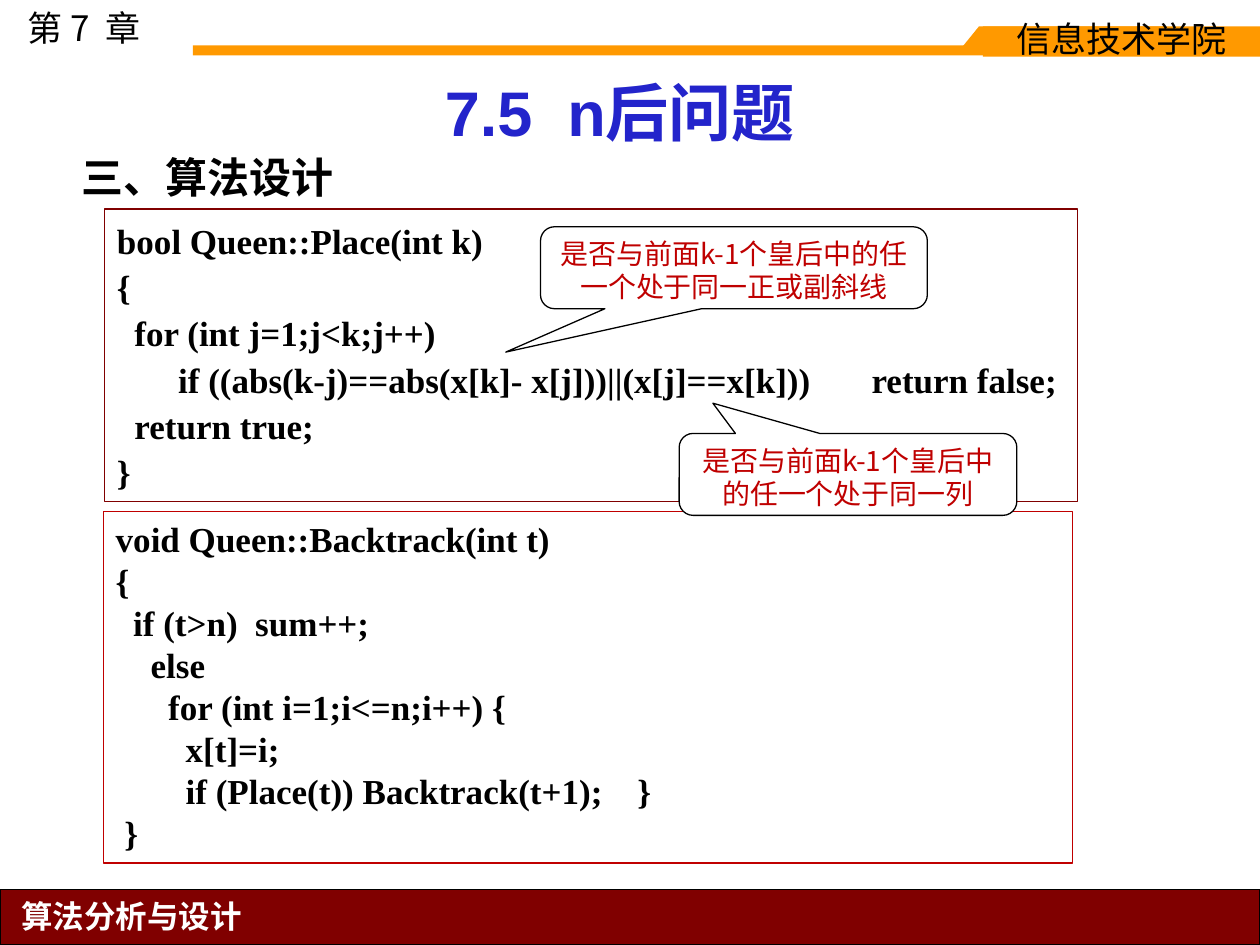
"""Build the n-queens algorithm design slide."""
from dataclasses import dataclass, field
from typing import Optional

from lxml import etree
from pptx import Presentation
from pptx.dml.color import RGBColor
from pptx.enum.shapes import MSO_SHAPE
from pptx.enum.text import MSO_ANCHOR, PP_ALIGN
from pptx.oxml.ns import qn
from pptx.util import Inches, Pt

RECTANGLE = MSO_SHAPE.RECTANGLE
CALLOUT = MSO_SHAPE.ROUNDED_RECTANGULAR_CALLOUT
LEFT, CENTER = PP_ALIGN.LEFT, PP_ALIGN.CENTER
TOP, MIDDLE = MSO_ANCHOR.TOP, MSO_ANCHOR.MIDDLE

COLORS = {
    "black": "000000", "white": "FFFFFF", "orange": "FF9900",
    "maroon": "800000", "crimson": "C00000", "red": "BF0000", "blue": "2324CB",
}
CJK = "Noto Sans CJK SC"
CODE_FONT = {"name": "Times New Roman", "size": Pt(20), "bold": True}
NOTE_FONT = {"name": CJK, "size": Pt(16)}

PLACE_CODE = """bool Queen::Place(int k)
{
  for (int j=1;j<k;j++)
       if ((abs(k-j)==abs(x[k]- x[j]))||(x[j]==x[k]))       return false;
  return true;
}"""
BACKTRACK_CODE = """void Queen::Backtrack(int t)
{
  if (t>n)  sum++;
    else
      for (int i=1;i<=n;i++) {
        x[t]=i;
        if (Place(t)) Backtrack(t+1);    }
 }"""


@dataclass
class Label:
    """Describe a block of text and its format."""
    text: str
    font: dict
    color: str = "black"
    align: PP_ALIGN = LEFT
    anchor: MSO_ANCHOR = MIDDLE
    spacing: Optional[float] = None
    wrap: bool = True


@dataclass
class Panel:
    """Describe a preset shape with optional text."""
    box: tuple
    fill: Optional[str] = None
    line: Optional[str] = None
    label: Optional[Label] = None
    kind: MSO_SHAPE = RECTANGLE
    adjustments: list = field(default_factory=list)


def rgb(color: str) -> RGBColor:
    """Return a named colour."""
    return RGBColor.from_string(COLORS[color])


def write(frame, label: Label) -> None:
    """Fill a text frame with a label."""
    for name, value in {"word_wrap": label.wrap, "vertical_anchor": label.anchor}.items():
        setattr(frame, name, value)
    for index, line in enumerate(label.text.split("\n")):
        paragraph = frame.paragraphs[0] if index == 0 else frame.add_paragraph()
        paragraph.alignment = label.align
        paragraph.line_spacing = label.spacing
        run = paragraph.add_run()
        run.text = line
        for name, value in label.font.items():
            setattr(run.font, name, value)
        run.font.color.rgb = rgb(label.color)
        east_asian = etree.SubElement(run._r.get_or_add_rPr(), qn("a:ea"))
        east_asian.set("typeface", CJK)


def paint(shape, fill: Optional[str], line: Optional[str]) -> None:
    """Set the fill and outline of a shape."""
    shape.shadow.inherit = False
    if fill:
        shape.fill.solid()
        shape.fill.fore_color.rgb = rgb(fill)
    else:
        shape.fill.background()
    if line:
        shape.line.color.rgb = rgb(line)
        shape.line.width = Pt(0.75)
    else:
        shape.line.fill.background()


def draw_panel(slide, panel: Panel) -> None:
    """Draw a panel."""
    shape = slide.shapes.add_shape(panel.kind, *map(Inches, panel.box))
    for index, value in enumerate(panel.adjustments):
        shape.adjustments[index] = value
    paint(shape, panel.fill, panel.line)
    if panel.label:
        write(shape.text_frame, panel.label)


def draw_text(slide, box: tuple, label: Label) -> None:
    """Draw a text box."""
    write(slide.shapes.add_textbox(*map(Inches, box)).text_frame, label)


def draw_header_slope(slide) -> None:
    """Draw the slanted end of the header tab."""
    corners = [(7.64, 0.37), (7.77, 0.37), (7.77, 0.21)]
    start, *others = [(Inches(x), Inches(y)) for x, y in corners]
    builder = slide.shapes.build_freeform(*start)
    builder.add_line_segments(others, close=True)
    paint(builder.convert_to_shape(), "orange", None)


def code_panel(box: tuple, line: str, code: str, spacing: float) -> Panel:
    """Return a framed code listing."""
    return Panel(box, line=line, label=Label(code, CODE_FONT, anchor=TOP, spacing=spacing))


def note_panel(box: tuple, text: str, tip: tuple) -> Panel:
    """Return a callout whose tip points at the code."""
    label = Label(text, NOTE_FONT, "red", CENTER, TOP, Pt(19))
    return Panel(box, "white", "black", label, CALLOUT, [*tip, 0.17])


PANELS = [
    Panel((1.53, 0.36, 7.72, 0.08), "orange"),
    Panel((7.77, 0.21, 1.48, 0.16), "orange"),
    Panel((7.8, 0.21, 2.2, 0.24), "orange", label=Label(
        "信息技术学院", {"name": "DejaVu Sans", "size": Pt(20)}, align=CENTER, spacing=0.9)),
    Panel((0, 7.06, 10, 0.44), "maroon", "black"),
    code_panel((0.83, 1.66, 7.72, 2.32), "maroon", PLACE_CODE, 1.1),
    code_panel((0.82, 4.06, 7.69, 2.79), "crimson", BACKTRACK_CODE, 1.0),
    note_panel((5.39, 3.44, 2.68, 0.65), "是否与前面k-1个皇后中的任一个处于同一列", (-0.4, -0.87)),
    note_panel((4.29, 1.8, 3.07, 0.65), "是否与前面k-1个皇后中的任一个处于同一正或副斜线", (-0.59, 1.03)),
]
TEXTS = [
    ((0.12, 0, 1.34, 0.43), Label("第 7  章", {"name": CJK, "size": Pt(20)})),
    ((0.06, 7.07, 1.97, 0.4), Label(
        "算法分析与设计", {"name": CJK, "size": Pt(18), "bold": True}, "white", CENTER)),
    ((0.67, 0.44, 8.5, 0.88), Label(
        "7.5  n后问题", {"name": "Arial", "size": Pt(36), "bold": True}, "blue", CENTER)),
    ((0.55, 1.15, 2.23, 0.5), Label(
        "三、算法设计", {"name": CJK, "size": Pt(24), "bold": True}, wrap=False)),
]


def main() -> None:
    """Create and save the slide."""
    presentation = Presentation()
    presentation.slide_width, presentation.slide_height = Inches(10), Inches(7.5)
    slide = presentation.slides.add_slide(presentation.slide_layouts[6])
    draw_header_slope(slide)
    for panel in PANELS:
        draw_panel(slide, panel)
    for box, label in TEXTS:
        draw_text(slide, box, label)
    presentation.save("out.pptx")


if __name__ == "__main__":
    main()
